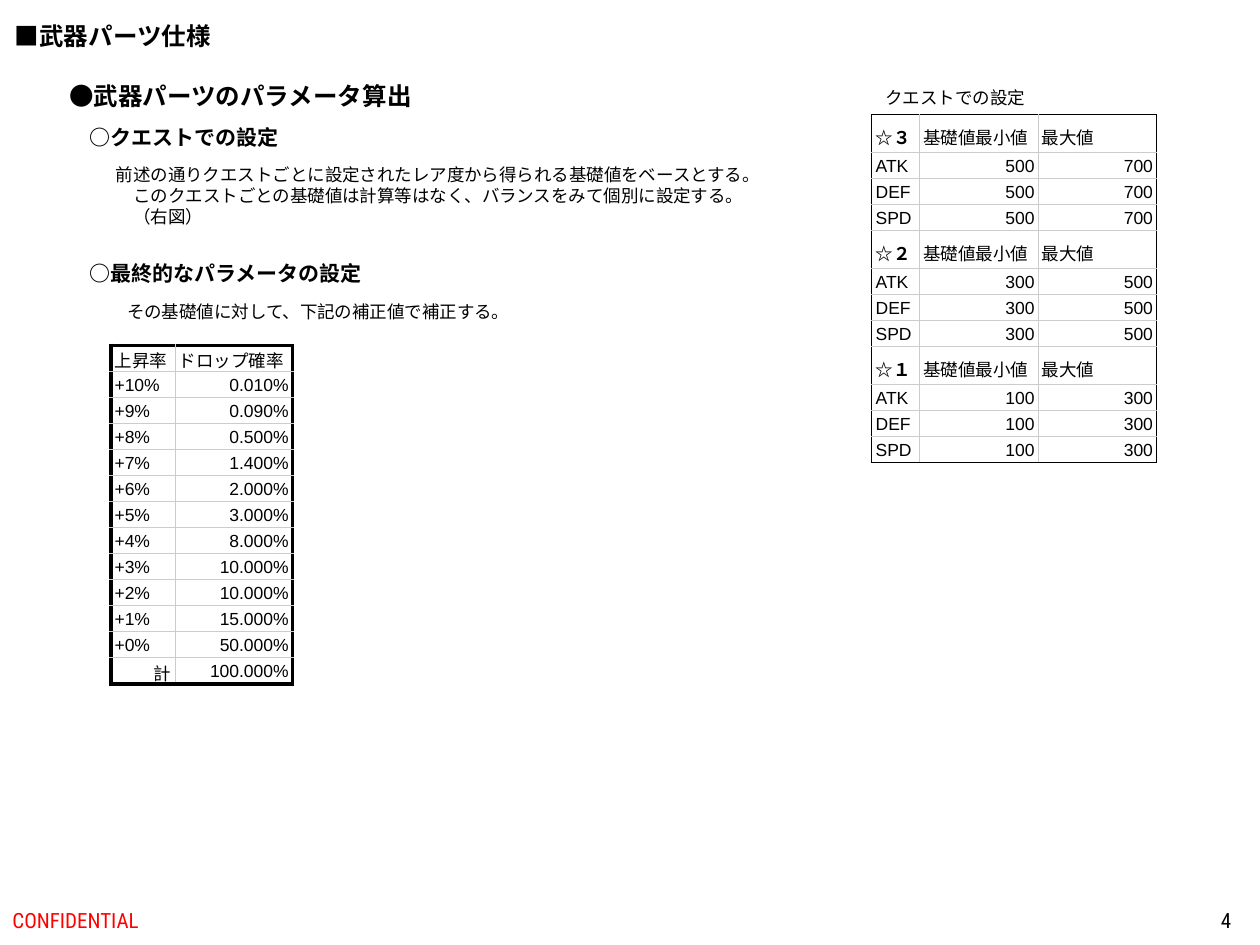
from dataclasses import dataclass

from lxml.etree import SubElement
from pptx import Presentation
from pptx.dml.color import RGBColor as RGB
from pptx.enum.text import MSO_ANCHOR as Anchor, MSO_AUTO_SIZE as AutoSize, PP_ALIGN as Align
from pptx.oxml.ns import qn
from pptx.util import Inches, Pt


@dataclass(frozen=True)
class Theme:
    ink: str = "000000"
    alert: str = "FF0000"
    grid: str = "CCCCCC"
    title_size: int = 14
    heading_size: int = 12
    body_size: int = 10
    table_font: str = "Arial"
    text_font: str = "TeX Gyre Adventor"
    japanese_font: str = "Noto Sans CJK JP"
    footer_font: str = "Roboto Condensed"
    grid_width: float = 0.75


class SlideBuilder:
    def __init__(self, slide, theme):
        self.slide = slide
        self.theme = theme

    def style(self, paragraph, size, font, bold=False, color=None, align=Align.LEFT):
        paragraph.alignment = align
        for run in paragraph.runs:
            run.font.size = Pt(size)
            run.font.bold = bold
            run.font.name = font
            run.font.color.rgb = RGB.from_string(color or self.theme.ink)
            east_asian = SubElement(run.font._element, qn("a:ea"))
            east_asian.set("typeface", self.theme.japanese_font)

    def box(self, left, top, width, height, text):
        frame = self.slide.shapes.add_textbox(
            Inches(left), Inches(top), Inches(width), Inches(height)).text_frame
        frame.text = text
        return frame

    def label(self, left, top, width, height, text, size, font=None, bold=False,
              align=Align.LEFT, hanging=0):
        """Add unwrapped text; lines after the first are indented by hanging inches."""
        frame = self.box(left, top, width, height, text)
        frame.word_wrap = False
        frame.auto_size = AutoSize.SHAPE_TO_FIT_TEXT
        for number, paragraph in enumerate(frame.paragraphs):
            if number and hanging:
                paragraph._p.get_or_add_pPr().set("marL", str(Inches(hanging)))
            self.style(paragraph, size, font or self.theme.text_font, bold, align=align)

    def footer(self, left, width, text, color, align=Align.LEFT):
        frame = self.box(left, 7.1, width, 0.4, text)
        frame.word_wrap = True
        frame.vertical_anchor = Anchor.MIDDLE
        self.style(frame.paragraphs[0], self.theme.heading_size,
                   self.theme.footer_font, color=color, align=align)

    def border(self, cell, outer_sides, frame_width):
        """Draw outer sides in ink at frame_width and the others as grid lines."""
        for side in "LRTB":
            outer = side in outer_sides
            line = SubElement(cell._tc.get_or_add_tcPr(), qn(f"a:ln{side}"))
            line.set("w", str(Pt(frame_width if outer else self.theme.grid_width)))
            fill = SubElement(line, qn("a:solidFill"))
            color = self.theme.ink if outer else self.theme.grid
            SubElement(fill, qn("a:srgbClr")).set("val", color)

    def table(self, left, top, height, widths, heights, rows, frame_width, header_rows):
        frame = self.slide.shapes.add_table(
            len(rows), len(widths), Inches(left), Inches(top),
            Inches(sum(widths)), Inches(height))
        table = frame.table
        table.first_row = table.horz_banding = False
        for column, width in zip(table.columns, widths):
            column.width = Inches(width)
        for row, row_height in zip(table.rows, heights):
            row.height = Inches(row_height)
        frame.height = Inches(height)

        last_row, last_column = len(rows) - 1, len(widths) - 1
        for r, values in enumerate(rows):
            for c, value in enumerate(values):
                cell = table.cell(r, c)
                outer_sides = [side for side, at_edge in (
                    ("L", c == 0), ("R", c == last_column),
                    ("T", r == 0), ("B", r == last_row)) if at_edge]
                self.border(cell, outer_sides, frame_width)
                cell.fill.background()
                cell.vertical_anchor = Anchor.BOTTOM
                cell.margin_left = cell.margin_right = Inches(0.03)
                cell.margin_top = cell.margin_bottom = Inches(0.02)
                cell.text = value
                numeric = c > 0 and r not in header_rows
                right = numeric or value == "計"
                font = (self.theme.japanese_font if value == "基礎値最小値"
                        else self.theme.table_font)
                self.style(cell.text_frame.paragraphs[0], self.theme.body_size, font,
                           bold=value.startswith("☆"),
                           align=Align.RIGHT if right else Align.LEFT)


QUEST_RANGES = [("☆３", "500", "700"), ("☆２", "300", "500"), ("☆１", "100", "300")]
DROP_RATES = [
    ("+10%", "0.010%"), ("+9%", "0.090%"), ("+8%", "0.500%"), ("+7%", "1.400%"),
    ("+6%", "2.000%"), ("+5%", "3.000%"), ("+4%", "8.000%"), ("+3%", "10.000%"),
    ("+2%", "10.000%"), ("+1%", "15.000%"), ("+0%", "50.000%"),
]
QUEST_EXPLANATION = "\n".join([
    "前述の通りクエストごとに設定されたレア度から得られる基礎値をベースとする。",
    "このクエストごとの基礎値は計算等はなく、バランスをみて個別に設定する。",
    "（右図）",
])


def main():
    deck = Presentation()
    deck.slide_width, deck.slide_height = Inches(10), Inches(7.5)
    theme = Theme()
    page = SlideBuilder(deck.slides.add_slide(deck.slide_layouts[6]), theme)

    page.label(0.02, 0.12, 1.77, 0.34, "■武器パーツ仕様", theme.title_size,
               theme.table_font, bold=True)
    page.footer(0, 3.38, "CONFIDENTIAL", theme.alert)
    page.footer(7.62, 2.25, "4", theme.ink, Align.RIGHT)
    page.label(0.45, 0.59, 2.95, 0.34, "●武器パーツのパラメータ算出",
               theme.title_size, bold=True)
    page.label(0.82, 1.25, 5.39, 0.61, QUEST_EXPLANATION, theme.body_size, hanging=0.14)

    quest_rows = []
    for rarity, minimum, maximum in QUEST_RANGES:
        quest_rows.append((rarity, "基礎値最小値", "最大値"))
        quest_rows += [(stat, minimum, maximum) for stat in ("ATK", "DEF", "SPD")]
    page.table(6.92, 0.91, 2.75, [0.38, 0.94, 0.94], [0.3, 0.16, 0.16, 0.16] * 3,
               quest_rows, frame_width=0.75, header_rows=(0, 4, 8))
    page.label(6.92, 0.64, 1.32, 0.27, "クエストでの設定", theme.body_size,
               theme.table_font, align=Align.CENTER)
    page.label(0.61, 0.94, 1.72, 0.3, "○クエストでの設定", theme.heading_size, bold=True)

    drop_rows = [("上昇率", "ドロップ確率"), *DROP_RATES, ("計", "100.000%")]
    page.table(0.88, 2.74, 2.68, [0.51, 0.93], [0.19] + [0.1] * len(DROP_RATES) + [0.19],
               drop_rows, frame_width=2.25, header_rows=(0,))
    page.label(0.91, 2.34, 3.29, 0.27, "その基礎値に対して、下記の補正値で補正する。",
               theme.body_size)
    page.label(0.61, 2.02, 2.39, 0.3, "○最終的なパラメータの設定",
               theme.heading_size, bold=True)

    deck.save("out.pptx")


if __name__ == "__main__":
    main()
